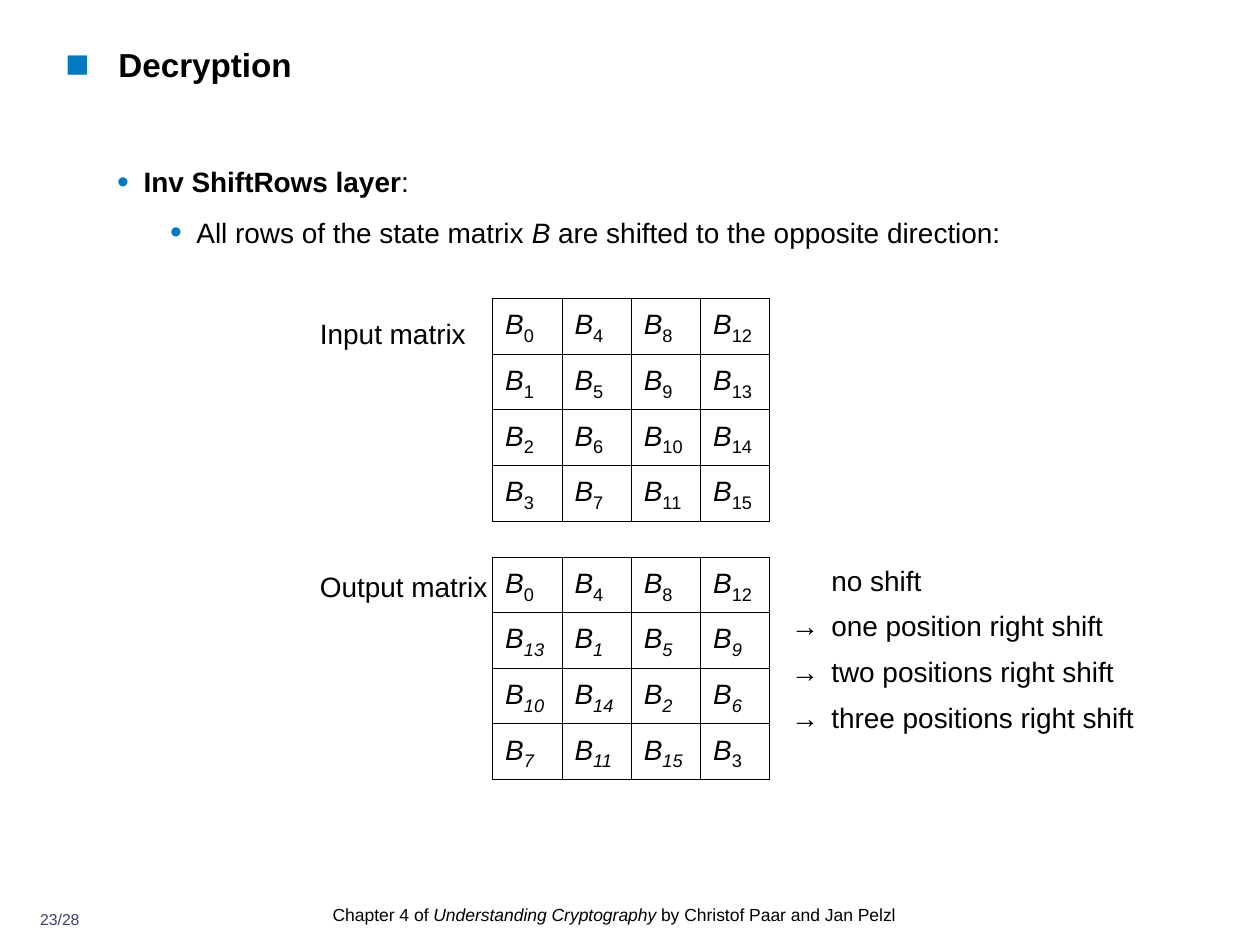
from lxml.etree import SubElement
from pptx import Presentation
from pptx.dml.color import RGBColor
from pptx.enum.text import MSO_ANCHOR, PP_ALIGN
from pptx.oxml.ns import qn
from pptx.util import Inches, Pt

BLACK = RGBColor(0x00, 0x00, 0x00)
BLUE = RGBColor(0x00, 0x7A, 0xC2)
NAVY = RGBColor(0x39, 0x40, 0x73)
FONT = "Arial"

# Content: each run is (text, style), with style "b" bold, "i" italic or ""
TITLE = [("Decryption", "b")]
# Body lines: runs, level, bullet, empty lines left above
BODY = [
    ([("Inv ShiftRows layer", "b"), (":", "")], 0, "•", 0),
    ([("All rows of the state matrix ", ""), ("B", "i"),
      (" are shifted to the opposite direction:", "")], 1, "•", 0),
    ([("Input matrix", "")], 2, None, 1),
    ([("Output matrix", "")], 2, None, 4),
]
SHIFTS = ["\tno shift", "→\tone position right shift",
          "→\ttwo positions right shift", "→\tthree positions right shift"]
FOOTER = [("Chapter 4 of ", ""), ("Understanding Cryptography", "i"),
          (" by Christof Paar and Jan Pelzl", "")]
PAGE_NUMBER = [("23/28", "")]

# State matrix: bytes run down the columns; row r is rotated right by r
SIZE = 4
INPUT = [[row + SIZE * col for col in range(SIZE)] for row in range(SIZE)]
OUTPUT = [line[SIZE - r:] + line[:SIZE - r] for r, line in enumerate(INPUT)]
UPRIGHT_OUTPUT = {0, 4, 8, 12, 3}

# Grid
TABLE_LEFT, CELL_WIDTH, CELL_HEIGHT = 3.91, 0.55, 0.44
INPUT_TOP, OUTPUT_TOP = 2.37, 4.42
LEVEL_INDENTS = [(0.21, -0.21), (0.63, -0.21), (1.61, 0)]
LINE_PITCH = 28.9


def add_run(para, text, size, style="", color=BLACK):
    span = para.add_run()
    span.text = text
    font = span.font
    font.name, font.size = FONT, Pt(size)
    font.bold, font.italic = style == "b", style == "i"
    font.color.rgb = color
    return span


def add_runs(para, runs, size, color=BLACK):
    for text, style in runs:
        add_run(para, text, size, style, color)


def add_box(page, left, top, width, height, insets=(0, 0, 0, 0)):
    box = page.shapes.add_textbox(*map(Inches, (left, top, width, height)))
    frame = box.text_frame
    frame.word_wrap = True
    (frame.margin_left, frame.margin_top,
     frame.margin_right, frame.margin_bottom) = map(Inches, insets)
    return frame


def next_para(frame, first):
    return frame.paragraphs[0] if first else frame.add_paragraph()


def set_indent(para, left, hanging):
    props = para._p.get_or_add_pPr()
    props.set("marL", str(Inches(left)))
    props.set("indent", str(Inches(hanging)))
    return props


def set_bullet(props, char):
    color = SubElement(props, qn("a:buClr"))
    SubElement(color, qn("a:srgbClr"), val=str(BLUE))
    SubElement(props, qn("a:buSzPct"), val="120000")
    SubElement(props, qn("a:buFont"), typeface=FONT)
    SubElement(props, qn("a:buChar"), char=char)


def set_borders(cell):
    props = cell._tc.get_or_add_tcPr()
    for side in ("lnL", "lnR", "lnT", "lnB"):
        line = SubElement(props, qn(f"a:{side}"), w=str(Pt(0.45)))
        fill = SubElement(line, qn("a:solidFill"))
        SubElement(fill, qn("a:srgbClr"), val=str(BLACK))


def add_matrix(page, top, matrix, upright):
    frame = page.shapes.add_table(
        SIZE, SIZE, Inches(TABLE_LEFT), Inches(top),
        Inches(SIZE * CELL_WIDTH), Inches(SIZE * CELL_HEIGHT))
    table = frame.table
    table.first_row = table.horz_banding = False
    for r, line in enumerate(matrix):
        table.rows[r].height = Inches(CELL_HEIGHT)
        table.columns[r].width = Inches(CELL_WIDTH)
        for c, index in enumerate(line):
            cell = table.cell(r, c)
            set_borders(cell)
            cell.fill.background()
            cell.vertical_anchor = MSO_ANCHOR.MIDDLE
            para = cell.text_frame.paragraphs[0]
            add_run(para, "B", 16, "i")
            span = add_run(para, str(index), 18, "" if index in upright else "i")
            span.font._element.set("baseline", "-25000")


def main():
    deck = Presentation()
    deck.slide_width, deck.slide_height = Inches(10), Inches(7.5)
    page = deck.slides.add_slide(deck.slide_layouts[6])

    # Title
    para = add_box(page, 0.52, 0.35, 7.07, 0.56).paragraphs[0]
    para.space_before = Pt(4.8)
    set_bullet(set_indent(para, 0.42, -0.42), "■")
    add_runs(para, TITLE, 19)

    # Body and matrix labels
    frame = add_box(page, 0.93, 1.24, 8.13, 3.57)
    for i, (runs, level, bullet, gap) in enumerate(BODY):
        para = next_para(frame, i == 0)
        para.line_spacing = 1.25
        para.space_before = Pt(5 + gap * LINE_PITCH)
        props = set_indent(para, *LEVEL_INDENTS[level])
        if bullet:
            set_bullet(props, bullet)
        add_runs(para, runs, 16)

    # Footer
    para = add_box(page, 2.64, 7.14, 4.73, 0.28).paragraphs[0]
    para.line_spacing = 1.2
    add_runs(para, FOOTER, 10)

    # Matrices
    add_matrix(page, INPUT_TOP, INPUT, set(range(SIZE * SIZE)))
    add_matrix(page, OUTPUT_TOP, OUTPUT, UPRIGHT_OUTPUT)

    # Shift of each output row
    frame = add_box(page, 5.5, OUTPUT_TOP, 3.6, 1.47, (0.1, 0.05, 0, 0.05))
    for i, text in enumerate(SHIFTS):
        para = next_para(frame, i == 0)
        para.space_before = Pt(7 if i else 0)
        tabs = SubElement(set_indent(para, 1, -0.32), qn("a:tabLst"))
        SubElement(tabs, qn("a:tab"), pos=str(Inches(1)), algn="l")
        add_run(para, text, 16)

    # Page number
    para = add_box(page, 0.2, 7.22, 0.55, 0.24).paragraphs[0]
    para.alignment = PP_ALIGN.CENTER
    add_runs(para, PAGE_NUMBER, 9, NAVY)

    deck.save("out.pptx")


if __name__ == "__main__":
    main()
